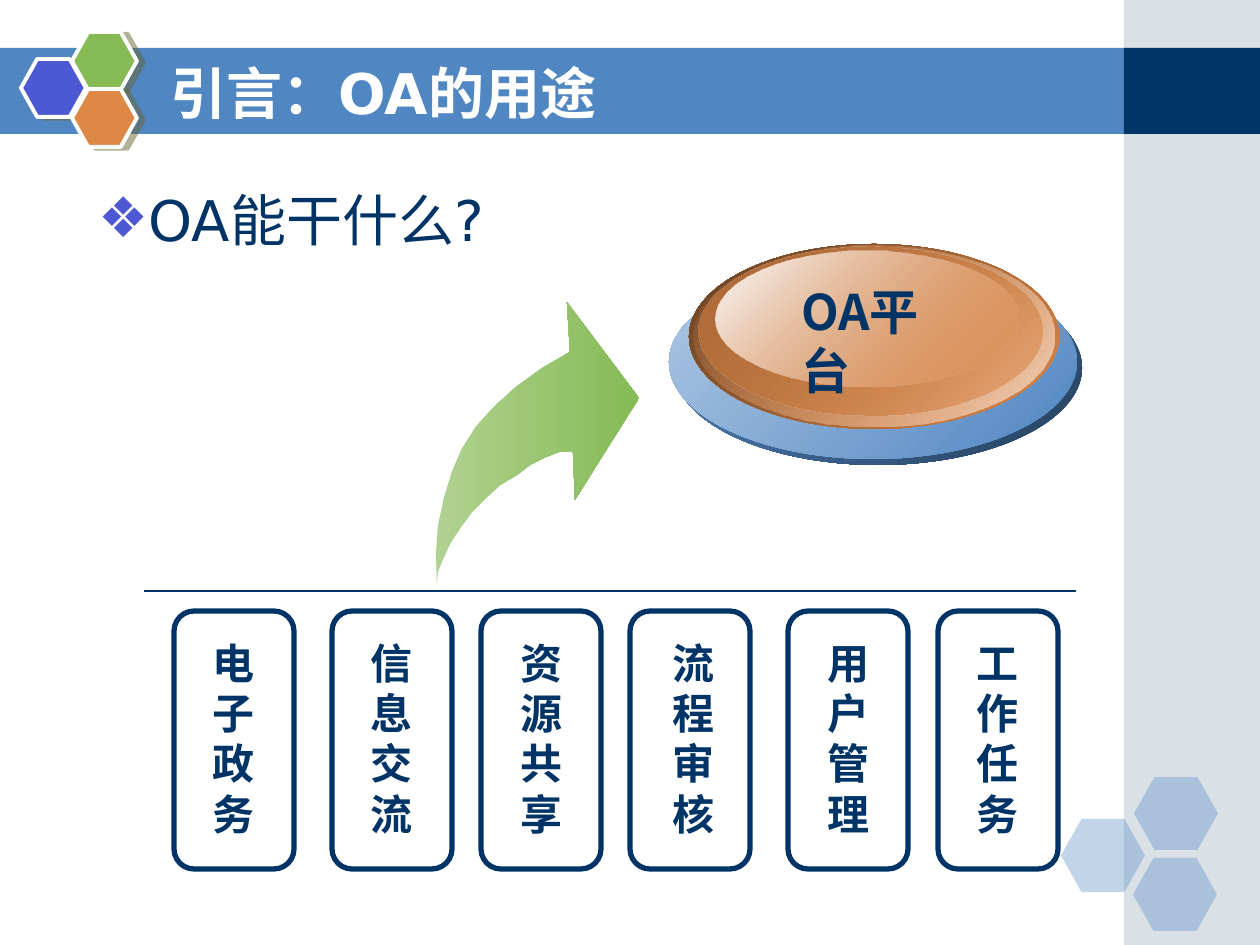
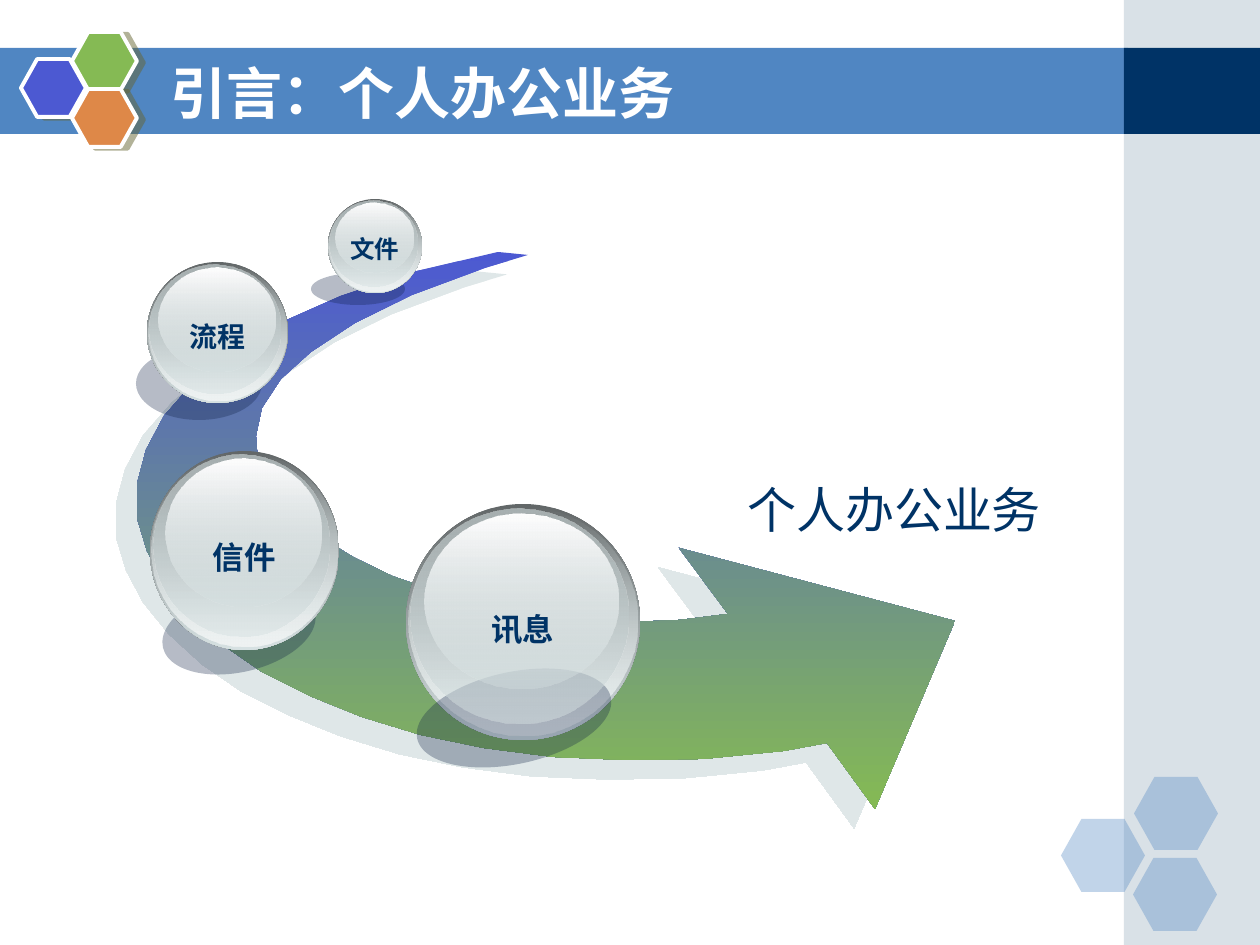
from lxml.etree import SubElement
from pptx import Presentation
from pptx.dml.color import RGBColor
from pptx.enum.shapes import MSO_CONNECTOR as CONN, MSO_SHAPE as SHAPE
from pptx.enum.text import MSO_ANCHOR as ANCHOR, PP_ALIGN as ALIGN
from pptx.oxml.ns import qn
from pptx.util import Emu, Pt

PX = 914400 / 126
C = {
    "white": "FFFFFF", "navy": "003366", "blue": "5086C2", "violet": "4C59D2",
    "green": "85BA54", "orange": "DE8848", "olive": "666633", "side": "A0B5C4",
    "pale_blue": "B0C8E3", "deep_blue": "26405D", "pale_green": "B0D291",
    "brown": "663E21", "copper": "AF6B38", "cream": "F2D4BE", "gloss": "FEFEFE",
    "steel": "626768", "mist": "D6E1E2", "frost": "EFF3F3", "ash": "A8B1B2",
    "shade": "0F2145", "arrow_shade": "C1D1D3",
}
CJK = "Noto Sans CJK SC"
SWOOSH_ORIGIN = (136, 252)
SWOOSH = [
    (362, 0), (277, 20), (205, 44), (144, 71), (95, 100), (57, 131), (28, 164),
    (10, 198), (1, 232), (1, 266), (11, 299), (28, 331), (54, 363), (87, 393),
    (126, 420), (174, 444), (226, 465), (285, 483), (348, 496), (417, 505),
    (490, 508), (567, 507), (648, 499), (691, 491), (739, 557), (819, 369),
    (543, 296), (592, 362), (544, 368), (495, 370), (445, 368), (394, 362),
    (345, 353), (299, 339), (256, 324), (217, 305), (183, 284), (155, 261),
    (135, 237), (122, 210), (120, 184), (126, 156), (145, 127), (175, 100),
    (219, 71), (276, 43), (349, 16), (392, 3),
]
RISING_ARROW = [
    (1, 284), (0, 252), (2, 223), (8, 196), (16, 170), (26, 147), (40, 125),
    (58, 105), (79, 86), (105, 67), (134, 50), (131, 0), (203, 96), (139, 198),
    (137, 149), (123, 150), (110, 155), (94, 163), (81, 173), (64, 183),
    (50, 196), (36, 210), (25, 225), (15, 240), (8, 255), (2, 270),
]


def px(*values):
    """Turn pixel lengths into EMU."""
    return [Emu(round(v * PX)) for v in values]


def rgb(name):
    """Look up a named colour."""
    return RGBColor.from_string(C[name])


def set_alpha(clr, percent):
    """Give a colour element an opacity."""
    SubElement(clr, qn("a:alpha")).set("val", str(percent * 1000))


def paint(sp, fill, alpha=None, line=None):
    """Fill a shape with one colour, without shadow, and set its outline."""
    sp.shadow.inherit = False
    if fill:
        sp.fill.solid()
        sp.fill.fore_color.rgb = rgb(fill)
    else:
        sp.fill.background()
    if alpha is not None:
        set_alpha(next(sp.element.spPr.iter(qn("a:srgbClr"))), alpha)
    if line:
        sp.line.color.rgb = rgb(line[0])
        sp.line.width = Pt(line[1])
    else:
        sp.line.fill.background()


def paint_gradient(sp, stops, angle):
    """Fill a shape with two (colour, opacity) stops at a clockwise angle."""
    sp.shadow.inherit = False
    sp.line.fill.background()
    sp.fill.gradient()
    sp.fill.gradient_angle = (360 - angle) % 360
    for stop, (name, _) in zip(sp.fill.gradient_stops, stops):
        stop.color.rgb = rgb(name)
    for clr, (_, alpha) in zip(sp.element.spPr.iter(qn("a:srgbClr")), stops):
        if alpha < 100:
            set_alpha(clr, alpha)


def cast_shadow(sp, color, distance, direction):
    """Add a half transparent hard shadow."""
    effects = sp.element.spPr.find(qn("a:effectLst"))
    outer = SubElement(effects, qn("a:outerShdw"), blurRad="0", algn="ctr",
                       dist=str(Pt(distance)), dir=str(direction * 60000), rotWithShape="0")
    clr = SubElement(outer, qn("a:srgbClr"), val=C[color])
    set_alpha(clr, 50)


def add_shape(slide, kind, box, fill, alpha=None, line=None):
    """Add a preset shape in one colour."""
    sp = slide.shapes.add_shape(kind, *px(*box))
    paint(sp, fill, alpha, line)
    return sp


def add_ellipse(slide, box, stops, angle):
    """Add an ellipse with a gradient."""
    paint_gradient(slide.shapes.add_shape(SHAPE.OVAL, *px(*box)), stops, angle)


def add_outline(slide, origin, points):
    """Add a closed polygon whose points are relative to its origin."""
    builder = slide.shapes.build_freeform(*points[0], scale=PX)
    builder.add_line_segments(points[1:], close=True)
    return builder.convert_to_shape(*px(*origin))


def format_text(p, size, font, color="navy", bold=False):
    """Format the runs of a paragraph."""
    for r in p.runs:
        r.font.size, r.font.name, r.font.bold = Pt(size), font, bold
        r.font.color.rgb = rgb(color)


def add_text(slide, box, text, size, font, bold=False, wrap=True):
    """Add a text box and return its frame."""
    tf = slide.shapes.add_textbox(*px(*box)).text_frame
    tf.word_wrap = wrap
    tf.text = text
    format_text(tf.paragraphs[0], size, font, bold=bold)
    return tf


def add_hexagon(slide, box, fill, alpha=None, line=None):
    """Add a regular hexagon."""
    sp = add_shape(slide, SHAPE.HEXAGON, box, fill, alpha, line)
    sp.adjustments[0] = 0.28
    return sp


def draw_frame(slide):
    """Draw the band, the side panel and both hexagon clusters."""
    add_shape(slide, SHAPE.RECTANGLE, (-1, 48, 1129, 86), "blue")
    add_shape(slide, SHAPE.RECTANGLE, (1124, 0, 136, 945), "side", 40)
    add_shape(slide, SHAPE.RECTANGLE, (1124, 48, 136, 86), "navy")
    for x, y in ((1061, 819), (1134, 777), (1133, 858)):
        add_hexagon(slide, (x, y, 84, 73), "blue", 35)
    for x, y, fill in ((21, 59, "violet"), (72, 32, "green"), (72, 89, "orange")):
        sp = add_hexagon(slide, (x, y, 65, 58), fill, line=("white", 2.25))
        cast_shadow(sp, "olive", 4.1, 14)


def share_frame(slide):
    """Draw the frame once and hand it to the layout of the slide."""
    kept = len(slide.shapes)
    draw_frame(slide)
    tree = slide.slide_layout.shapes.element
    for i, sp in enumerate(list(slide.shapes)[kept:]):
        tree.insert(2 + i, sp.element)


def set_title(slide, text):
    """Place and fill the title."""
    sp = slide.shapes.title
    sp.left, sp.top, sp.width, sp.height = px(158, 53, 924, 78)
    tf = sp.text_frame
    tf.text = text
    tf.vertical_anchor = ANCHOR.MIDDLE
    tf.paragraphs[0].alignment = ALIGN.LEFT
    format_text(tf.paragraphs[0], 32, "DejaVu Sans", "white", True)


def set_question(slide, box, text):
    """Fill the body with one bulleted line."""
    sp = slide.placeholders[1]
    sp.left, sp.top, sp.width, sp.height = px(*box)
    sp.text_frame.text = text
    p = sp.text_frame.paragraphs[0]
    p.line_spacing, p.space_before = 0.8, Pt(0)
    pPr = p._p.get_or_add_pPr()
    indent = px(48)[0]
    pPr.set("marL", str(indent))
    pPr.set("indent", str(-indent))
    SubElement(SubElement(pPr, qn("a:buClr")), qn("a:srgbClr"), val=C["violet"])
    SubElement(pPr, qn("a:buChar"), char="❖")
    format_text(p, 32, "DejaVu Sans")


def draw_platform(slide, x, y, text):
    """Draw the stacked disc and its label."""
    discs = (
        ((5, 27, 408, 194), ("deep_blue", 100), ("blue", 100)),
        ((0, 21, 408, 194), ("blue", 100), ("pale_blue", 100)),
        ((20, 0, 370, 185), ("orange", 100), ("brown", 100)),
        ((25, 2, 360, 180), ("cream", 100), ("orange", 0)),
        ((29, 3, 344, 169), ("orange", 48), ("copper", 100)),
        ((47, 7, 302, 136), ("orange", 38), ("gloss", 100)),
    )
    for (dx, dy, w, h), *stops in discs:
        add_ellipse(slide, (x + dx, y + dy, w, h), stops, 225)
    add_text(slide, (x + 120, y + 31, 189, 131), text, 28, CJK, True)


def draw_function(slide, x, y, label, label_dx):
    """Draw one rounded card with its upright label."""
    add_shape(slide, SHAPE.ROUNDED_RECTANGLE, (x, y, 120, 258), None, line=("navy", 3))
    add_text(slide, (x + label_dx, y + 20, 63, 214), label, 24, CJK, True)


def draw_functions(slide, x, y):
    """Draw the rule and the row of cards below it."""
    rule = slide.shapes.add_connector(CONN.STRAIGHT, *px(x, y, x + 932, y))
    rule.line.color.rgb, rule.line.width = rgb("navy"), Pt(0.75)
    SubElement(rule.element.spPr, qn("a:effectLst"))
    cards = ((30, "电子政务", 26), (188, "信息交流", 26), (337, "资源共享", 27),
             (486, "流程审核", 30), (644, "用户管理", 27), (794, "工作任务", 26))
    for dx, label, label_dx in cards:
        draw_function(slide, x + dx, y + 20, label, label_dx)


def draw_sphere(slide, box, label, size, shade, tilt=0, shade_layer=0):
    """Draw a glass sphere, its tilted shade and its label."""
    x, y, w, h = box
    layers = (
        ((0, 0, 1, 1), ("steel", 100), ("mist", 100)),
        ((0.01, 0.01, 0.98, 0.97), ("mist", 0), ("frost", 100)),
        ((0.02, 0.02, 0.93, 0.91), ("ash", 100), ("mist", 48)),
        ((0.08, 0.04, 0.83, 0.74), ("gloss", 100), ("mist", 38)),
    )
    for i, ((fx, fy, fw, fh), *stops) in enumerate(layers):
        if i == shade_layer:
            dx, dy, *extent = shade
            sp = add_shape(slide, SHAPE.OVAL, (x + dx, y + dy, *extent), "shade", 30)
            sp.rotation = tilt
        add_ellipse(slide, (x + fx * w, y + fy * h, fw * w, fh * h), stops, 90)
    tf = add_text(slide, (x + w / 2 - 44, y + 0.53 * h - 25, 88, 50), label, size,
                  "Arial", True, wrap=False)
    tf.vertical_anchor = ANCHOR.MIDDLE
    tf.paragraphs[0].alignment = ALIGN.CENTER


def build_uses(slide):
    """Fill the slide on what the platform is used for."""
    set_title(slide, "引言：OA的用途")
    set_question(slide, (86, 192, 997, 669), "OA能干什么?")
    draw_platform(slide, 669, 244, "OA平台")
    arrow = add_outline(slide, (436, 302), RISING_ARROW)
    paint_gradient(arrow, (("pale_green", 100), ("green", 100)), 0)
    draw_functions(slide, 144, 591)


def build_personal(slide):
    """Fill the slide on personal office work."""
    set_title(slide, "引言：个人办公业务")
    body = slide.placeholders[1].element
    body.getparent().remove(body)
    swoosh = add_outline(slide, SWOOSH_ORIGIN, SWOOSH)
    paint_gradient(swoosh, (("violet", 100), ("green", 100)), 90)
    cast_shadow(swoosh, "arrow_shade", 16.3, 137)
    add_text(slide, (735, 473, 368, 72), "个人办公业务", 28, "Arial")
    draw_sphere(slide, (406, 504, 234, 236), "讯息", 18, (9, 168, 198, 92), -12, 2)
    draw_sphere(slide, (150, 451, 189, 199), "信件", 18, (11, 137, 156, 84), -13)
    draw_sphere(slide, (147, 262, 141, 141), "流程", 16, (-11, 85, 126, 73))
    draw_sphere(slide, (328, 199, 94, 94), "文件", 14, (-17, 74, 94, 32))


def main():
    """Build and save the presentation."""
    prs = Presentation()
    prs.slide_width, prs.slide_height = px(1260, 945)
    layout = prs.slide_layouts[1]
    uses, personal = (prs.slides.add_slide(layout) for _ in range(2))
    share_frame(uses)
    build_uses(uses)
    build_personal(personal)
    prs.save("out.pptx")


if __name__ == "__main__":
    main()
